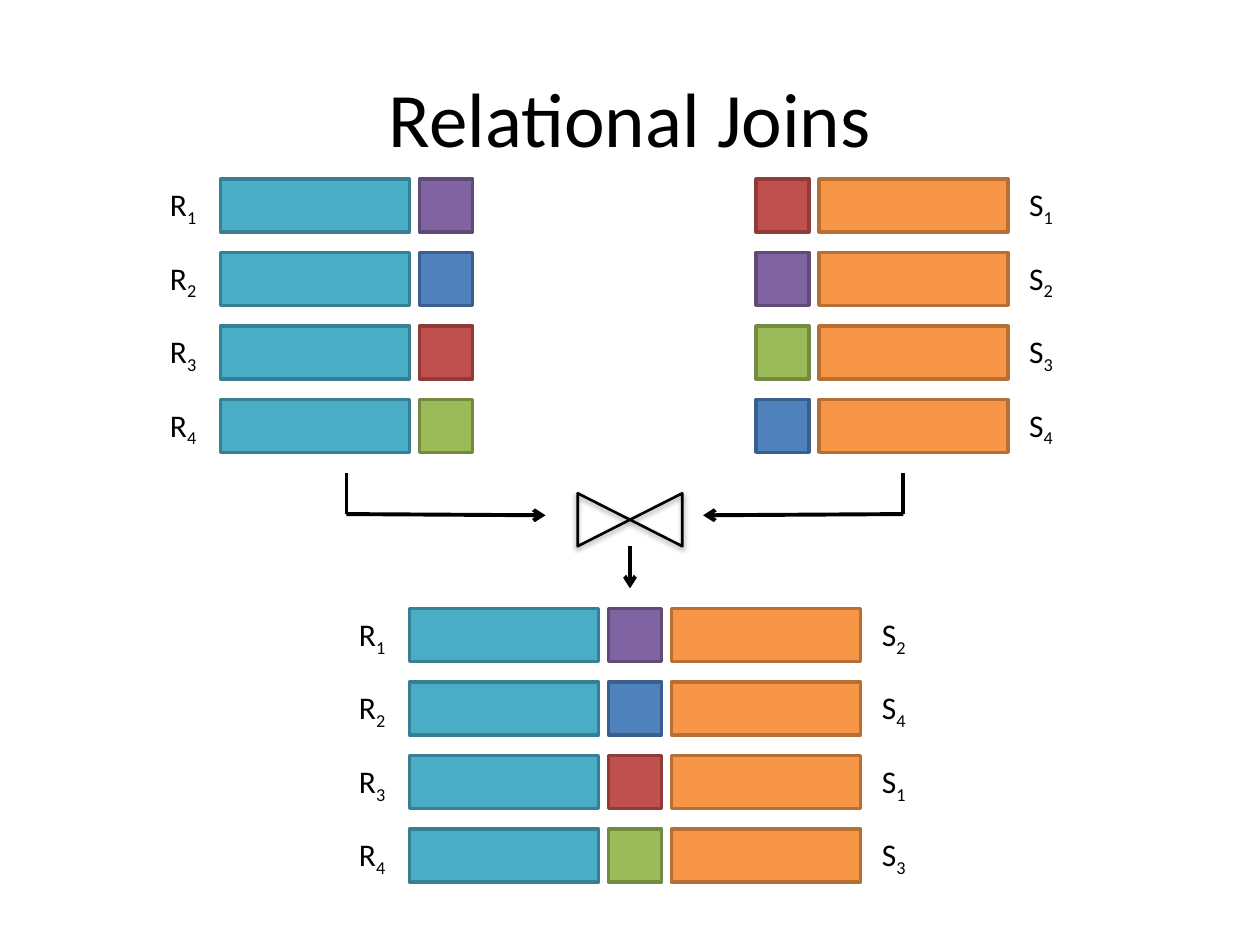
"""Build a slide showing how rows of two relations are joined on a key."""
from lxml import etree
from pptx import Presentation
from pptx import oxml
from pptx import util as u
from pptx.dml.color import RGBColor
from pptx.enum import shapes, text
from pptx.oxml import ns

BLACK = RGBColor(0x00, 0x00, 0x00)
TEAL = RGBColor(0x4B, 0xAC, 0xC6)
ORANGE = RGBColor(0xF7, 0x96, 0x46)
PURPLE = RGBColor(0x80, 0x64, 0xA2)
BLUE = RGBColor(0x4F, 0x81, 0xBD)
RED = RGBColor(0xC0, 0x50, 0x4D)
GREEN = RGBColor(0x9B, 0xBB, 0x59)
BORDERS = {
    TEAL: RGBColor(0x37, 0x7F, 0x92),
    ORANGE: RGBColor(0xB7, 0x6F, 0x34),
    PURPLE: RGBColor(0x5F, 0x4A, 0x78),
    BLUE: RGBColor(0x3A, 0x5F, 0x8C),
    RED: RGBColor(0x8E, 0x3B, 0x39),
    GREEN: RGBColor(0x73, 0x8A, 0x42),
}

R_KEYS = [PURPLE, BLUE, RED, GREEN]
S_KEYS = [RED, PURPLE, GREEN, BLUE]
INPUT_TOP, RESULT_TOP = 1.42, 4.83
ROW_PITCH = 7 / 12
CELL, PAYLOAD = 0.42, 1.5
SHADOW = (
    f'<a:effectLst {ns.nsdecls("a")}>'
    '<a:outerShdw blurRad="40000" dist="20000" dir="5400000" rotWithShape="0">'
    '<a:srgbClr val="000000"><a:alpha val="38000"/></a:srgbClr>'
    '</a:outerShdw></a:effectLst>'
)


class JoinSlide:
    """Hold the style and the slide being drawn."""

    font = "Calibri"

    def __init__(self, slide):
        self.slide = slide

    def style_run(self, run, size):
        run.font.name = self.font
        run.font.size = u.Pt(size)
        run.font.color.rgb = BLACK

    def text_box(self, words, left, top, width, height, size):
        box = self.slide.shapes.add_textbox(
            u.Inches(left), u.Inches(top), u.Inches(width), u.Inches(height))
        box.text_frame.text = words
        self.style_run(box.text_frame.paragraphs[0].runs[0], size)
        return box.text_frame

    def title(self, words):
        frame = self.text_box(words, 0.5, 0.3, 9, 1.25, 44)
        frame.word_wrap = True
        frame.vertical_anchor = text.MSO_ANCHOR.MIDDLE
        frame.paragraphs[0].alignment = text.PP_ALIGN.CENTER

    def label(self, relation, number, left, top):
        frame = self.text_box(relation, left, top, CELL, 0.4, 18)
        frame.word_wrap = False
        subscript = frame.paragraphs[0].add_run()
        subscript.text = str(number)
        self.style_run(subscript, 18)
        subscript._r.get_or_add_rPr().set("baseline", "-25000")

    def block(self, left, top, width, fill):
        block = self.slide.shapes.add_shape(
            shapes.MSO_SHAPE.RECTANGLE,
            u.Inches(left), u.Inches(top), u.Inches(width), u.Inches(CELL))
        block.shadow.inherit = False
        block.fill.solid()
        block.fill.fore_color.rgb = fill
        block.line.color.rgb = BORDERS[fill]
        block.line.width = u.Pt(2)

    def r_row(self, number, left, top):
        self.block(left, top, PAYLOAD, TEAL)
        self.label("R", number, left - 0.5, top)

    def s_row(self, number, left, top):
        self.block(left, top, PAYLOAD, ORANGE)
        self.label("S", number, left + 1.57, top)

    def join_symbol(self):
        bowtie = self.slide.shapes.add_shape(
            shapes.MSO_SHAPE.FLOWCHART_COLLATE,
            u.Inches(4.79), u.Inches(3.71), u.Inches(0.42), u.Inches(0.83))
        bowtie.rotation = 90
        bowtie.fill.background()
        bowtie.line.color.rgb = BLACK
        bowtie.line.width = u.Pt(1.5)
        bowtie._element.spPr.append(oxml.parse_xml(SHADOW))

    def line(self, start, end, arrow=False):
        line = self.slide.shapes.add_connector(
            shapes.MSO_CONNECTOR.STRAIGHT,
            *(u.Inches(value) for value in (*start, *end)))
        line.line.color.rgb = BLACK
        line.line.width = u.Pt(2.25)
        if arrow:
            etree.SubElement(
                line.line._get_or_add_ln(), ns.qn("a:tailEnd"), type="arrow")
        etree.SubElement(line._element.spPr, ns.qn("a:effectLst"))


def main():
    deck = Presentation()
    deck.slide_width, deck.slide_height = u.Inches(10), u.Inches(7.5)
    page = JoinSlide(deck.slides.add_slide(deck.slide_layouts[6]))

    page.title("Relational Joins")
    page.join_symbol()
    for source, target in ((2.75, 4.33), (7.17, 5.58)):
        page.line((source, 4.08), (target, 4.09), arrow=True)
        page.line((source, 4.08), (source, 3.75))
    page.line((5, 4.33), (5, 4.67), arrow=True)

    for row, (r_key, s_key) in enumerate(zip(R_KEYS, S_KEYS)):
        input_top = INPUT_TOP + row * ROW_PITCH
        page.r_row(row + 1, 1.75, input_top)
        page.block(3.33, input_top, CELL, r_key)
        page.s_row(row + 1, 6.5, input_top)
        page.block(6, input_top, CELL, s_key)

        result_top = RESULT_TOP + row * ROW_PITCH
        page.r_row(row + 1, 3.25, result_top)
        page.s_row(S_KEYS.index(r_key) + 1, 5.33, result_top)
        page.block(4.83, result_top, CELL, r_key)

    deck.save("out.pptx")


if __name__ == "__main__":
    main()
